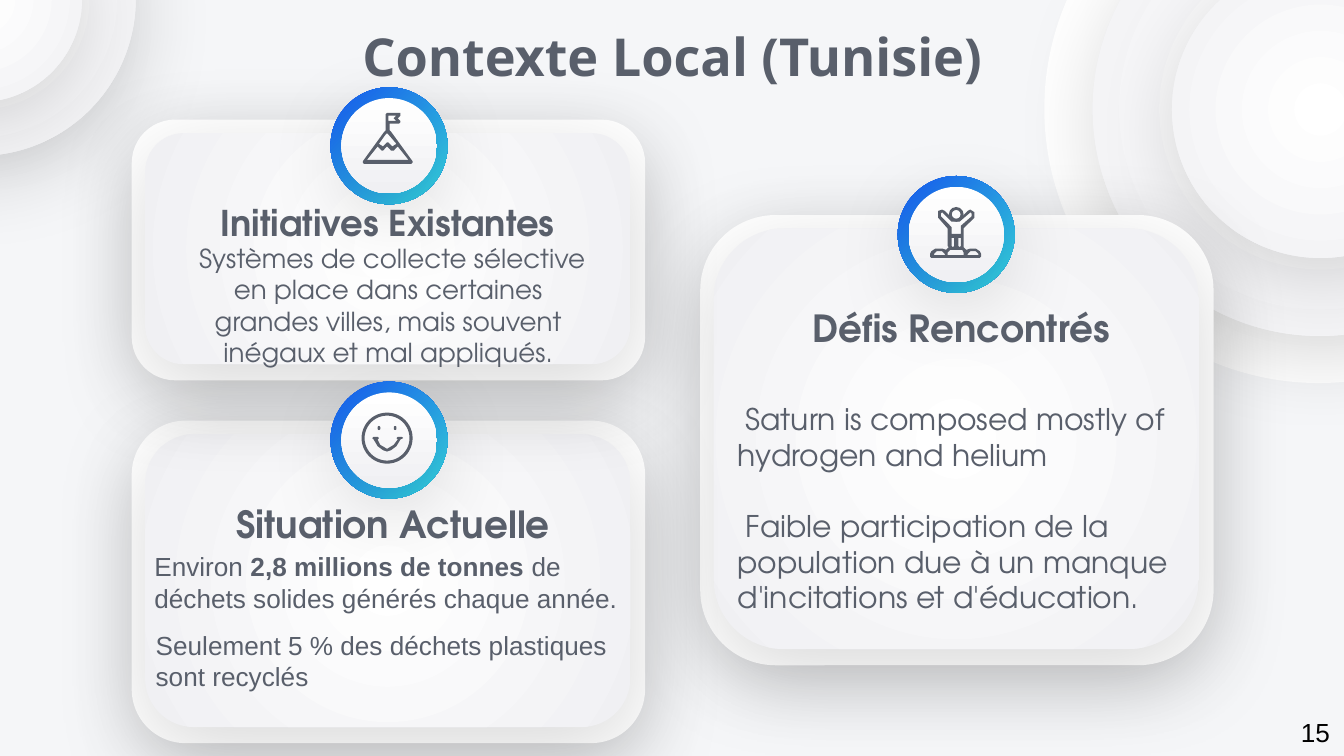
from lxml.etree import SubElement
from pptx import Presentation
from pptx.dml.color import RGBColor
from pptx.enum.shapes import MSO_SHAPE
from pptx.enum.text import MSO_ANCHOR, MSO_AUTO_SIZE, PP_ALIGN
from pptx.oxml.ns import qn
from pptx.util import Pt

PX = 9144
INK = "595F6B"
WHITE = "FFFFFF"
PEARL = (WHITE, "F0F0F3")
OCEAN = ("1658F1", "36DBE0")
GEOMETRIC = "TeX Gyre Adventor"

MOUNTAIN = [
    [(26, 2), (24, 4), (26, 6), (20, 6), (20, 2)],
    [(19, 15), (20, 16), (26, 23), (23, 25), (20, 22), (19, 22), (16, 25), (13, 23), (18, 16)],
    [(19, 25), (22, 28), (24, 28), (27, 25), (35, 35), (4, 35), (12, 25), (15, 28), (16, 28)],
    [(19, 0), (18, 1), (18, 13), (17, 14), (1, 36), (1, 37), (2, 38), (37, 38), (38, 37),
     (38, 36), (22, 14), (21, 13), (21, 8), (28, 8), (29, 7), (29, 6), (27, 4), (29, 2), (29, 0)],
]
SMILE = [
    [(9, 18), (8, 19), (9, 20), (12, 25), (16, 28), (19, 29), (22, 28), (26, 25), (29, 20),
     (31, 19), (30, 18), (27, 18), (26, 19), (27, 20), (24, 24), (19, 27), (14, 24),
     (12, 20), (13, 19), (12, 18)],
]
CLIMBER = [
    [(14, 6), (11, 3), (9, 2), (6, 3), (6, 8), (13, 16), (13, 29), (14, 30), (12, 32), (9, 31),
     (4, 31), (1, 33), (0, 35), (0, 37), (1, 38), (37, 38), (38, 37), (38, 35), (37, 33),
     (34, 31), (30, 31), (27, 32), (25, 30), (25, 16), (33, 8), (33, 4), (30, 2), (28, 3),
     (25, 6), (22, 9), (16, 9)],
    [(30, 4), (31, 5), (31, 7), (23, 14), (23, 20), (16, 20), (16, 15), (15, 14), (8, 7),
     (8, 5), (9, 4), (10, 5), (16, 11), (22, 11), (29, 5)],
    [(18, 23), (18, 29), (17, 30), (16, 29), (16, 23)],
    [(23, 23), (23, 29), (22, 30), (21, 29), (21, 23)],
    [(9, 33), (11, 35), (11, 36), (3, 36), (3, 35), (5, 33)],
    [(24, 32), (25, 34), (25, 36), (13, 36), (13, 34), (15, 32)],
    [(34, 33), (36, 35), (36, 36), (28, 36), (28, 35), (30, 33)],
]


def color(value):
    return RGBColor.from_string(value)


def emu(*lengths):
    return [length * PX for length in lengths]


def paint(shape, fill, angle=None, shadow=False):
    shape.line.fill.background()
    shape.shadow.inherit = False
    if isinstance(fill, str):
        shape.fill.solid()
        shape.fill.fore_color.rgb = color(fill)
    else:
        shape.fill.gradient()
        for stop, value in zip(shape.fill.gradient_stops, fill):
            stop.color.rgb = color(value)
        if angle is None:
            gradient = shape._element.spPr.find(qn("a:gradFill"))
            gradient.remove(gradient.find(qn("a:lin")))
            circle = SubElement(gradient, qn("a:path"), path="circle")
            SubElement(circle, qn("a:fillToRect"), l="50000", t="50000", r="50000", b="50000")
        else:
            shape.fill.gradient_angle = 360 - angle
    if shadow:
        effects = shape._element.spPr.find(qn("a:effectLst"))
        outer = SubElement(effects, qn("a:outerShdw"), blurRad=str(Pt(45)), dist=str(Pt(11.2)),
                           dir=str(85 * 60000), algn="tl", rotWithShape="0")
        tint = SubElement(outer, qn("a:srgbClr"), val="000000")
        SubElement(tint, qn("a:alpha"), val="15000")


def add_preset(page, kind, box, fill, angle=None, shadow=False, adjust=None):
    shape = page.shapes.add_shape(kind, *emu(*box))
    if adjust is not None:
        shape.adjustments[0] = adjust
    paint(shape, fill, angle, shadow)


def add_outline(page, left, top, contours):
    first, *others = contours
    builder = page.shapes.build_freeform(*first[0], scale=PX)
    builder.add_line_segments(first[1:])
    for contour in others:
        builder.move_to(*contour[0])
        builder.add_line_segments(contour[1:])
    paint(builder.convert_to_shape(*emu(left, top)), INK)


def add_text(page, box, paragraphs, size, font=GEOMETRIC, bold=False, align=PP_ALIGN.LEFT,
             anchor=MSO_ANCHOR.MIDDLE, indent=0, gap=0, ink=INK, wrap=True):
    frame = page.shapes.add_textbox(*emu(*box)).text_frame
    frame.word_wrap = wrap
    frame.auto_size = MSO_AUTO_SIZE.NONE
    frame.vertical_anchor = anchor
    for index, spans in enumerate(paragraphs):
        para = frame.paragraphs[0] if index == 0 else frame.add_paragraph()
        para.alignment = align
        if index:
            para.space_before = Pt(gap)
        if indent:
            properties = para._p.get_or_add_pPr()
            properties.set("marL", "0")
            properties.set("indent", str(indent * PX))
        for text, strong in spans:
            span = para.add_run()
            span.text = text
            span.font.size = Pt(size)
            span.font.name = font
            span.font.bold = bold or strong
            span.font.color.rgb = color(ink)


def add_heading(page, box, text, size=20, font=GEOMETRIC):
    add_text(page, box, [[(text, False)]], size, font, bold=True, align=PP_ALIGN.CENTER)


def add_rings(page, center_x, center_y, diameters):
    for diameter in diameters:
        box = (center_x - diameter // 2, center_y - diameter // 2, diameter, diameter)
        add_preset(page, MSO_SHAPE.OVAL, box, PEARL, shadow=True)


def add_card(page, box):
    left, top, width, height = box
    inner = (left + 10, top + 10, width - 21, height - 22)
    for plate, fill in ((box, WHITE), (inner, PEARL)):
        add_preset(page, MSO_SHAPE.ROUNDED_RECTANGLE, plate, fill, shadow=True, adjust=0.167)


def add_badge(page, left, top):
    add_preset(page, MSO_SHAPE.OVAL, (left, top, 87, 87), OCEAN, angle=45)
    add_preset(page, MSO_SHAPE.OVAL, (left + 8, top + 8, 71, 71), PEARL, angle=90, shadow=True)


def add_smiley(page, left, top):
    add_preset(page, MSO_SHAPE.DONUT, (left, top, 38, 38), INK, adjust=0.06)
    add_outline(page, left, top, SMILE)
    for eye in (12, 24):
        add_preset(page, MSO_SHAPE.ROUNDED_RECTANGLE, (left + eye, top + 10, 2, 3), INK, adjust=0.5)


def add_climber(page, left, top):
    add_outline(page, left, top, CLIMBER)
    add_preset(page, MSO_SHAPE.DONUT, (left + 14, top, 11, 11), INK, adjust=0.2)


def fill_initiatives(page, left, top):
    add_badge(page, left + 148, top - 24)
    add_outline(page, left + 171, top - 5, MOUNTAIN)
    add_heading(page, (left + 20, top + 56, 341, 41), "Initiatives Existantes", 19)
    add_text(page, (left + 33, top + 113, 316, 50),
             [[("Systèmes de collecte sélective en place dans certaines grandes villes, "
                "mais souvent inégaux et mal appliqués.", False)]],
             14, align=PP_ALIGN.CENTER, indent=6)


def fill_situation(page, left, top):
    add_badge(page, left + 148, top - 29)
    add_smiley(page, left + 171, top - 6)
    add_heading(page, (left + 24, top + 56, 341, 41), "Situation Actuelle")
    add_text(page, (left + 7, top + 61, 375, 118),
             [[("Environ ", False), ("2,8 millions de tonnes", True),
               (" de déchets solides générés chaque année.", False)]], 14, "Arial")
    add_text(page, (left + 8, top + 150, 375, 57),
             [[("Seulement 5 % des déchets plastiques sont recyclés", False)]], 14, "Arial")


def fill_challenges(page, left, top):
    add_badge(page, left + 147, top - 29)
    add_climber(page, left + 171, top - 6)
    add_heading(page, (left + 23, top + 63, 342, 41), "Défis Rencontrés")
    add_text(page, (left + 18, top + 133, 342, 172),
             [[("Saturn is composed mostly of hydrogen and helium", False)],
              [("Faible participation de la population due à un manque "
                "d'incitations et d'éducation.", False)]],
             16, anchor=MSO_ANCHOR.TOP, indent=6, gap=19)


def main():
    deck = Presentation()
    deck.slide_width = 1000 * PX
    deck.slide_height = deck.slide_width * 9 // 16
    page = deck.slides.add_slide(deck.slide_layouts[6])
    page.background.fill.solid()
    page.background.fill.fore_color.rgb = color("F5F6F8")

    add_preset(page, MSO_SHAPE.OVAL, (777, -123, 408, 408), WHITE)
    add_rings(page, 982, 81, (338, 221))
    add_rings(page, -16, -1, (234, 153))

    regions = (
        ((521, 160, 382, 335), fill_challenges),
        ((98, 313, 382, 240), fill_situation),
        ((98, 89, 382, 194), fill_initiatives),
    )
    for box, _ in regions:
        add_card(page, box)
    for (left, top, _, _), fill_region in regions:
        fill_region(page, left, top)

    add_heading(page, (73, 21, 854, 41), "Contexte Local (Tunisie)", 28, "Noto Sans")
    add_text(page, (958, 528, 42, 34), [[("15", False)]], 14, "Arial",
             anchor=MSO_ANCHOR.TOP, ink="000000", wrap=False)
    deck.save("out.pptx")


if __name__ == "__main__":
    main()
